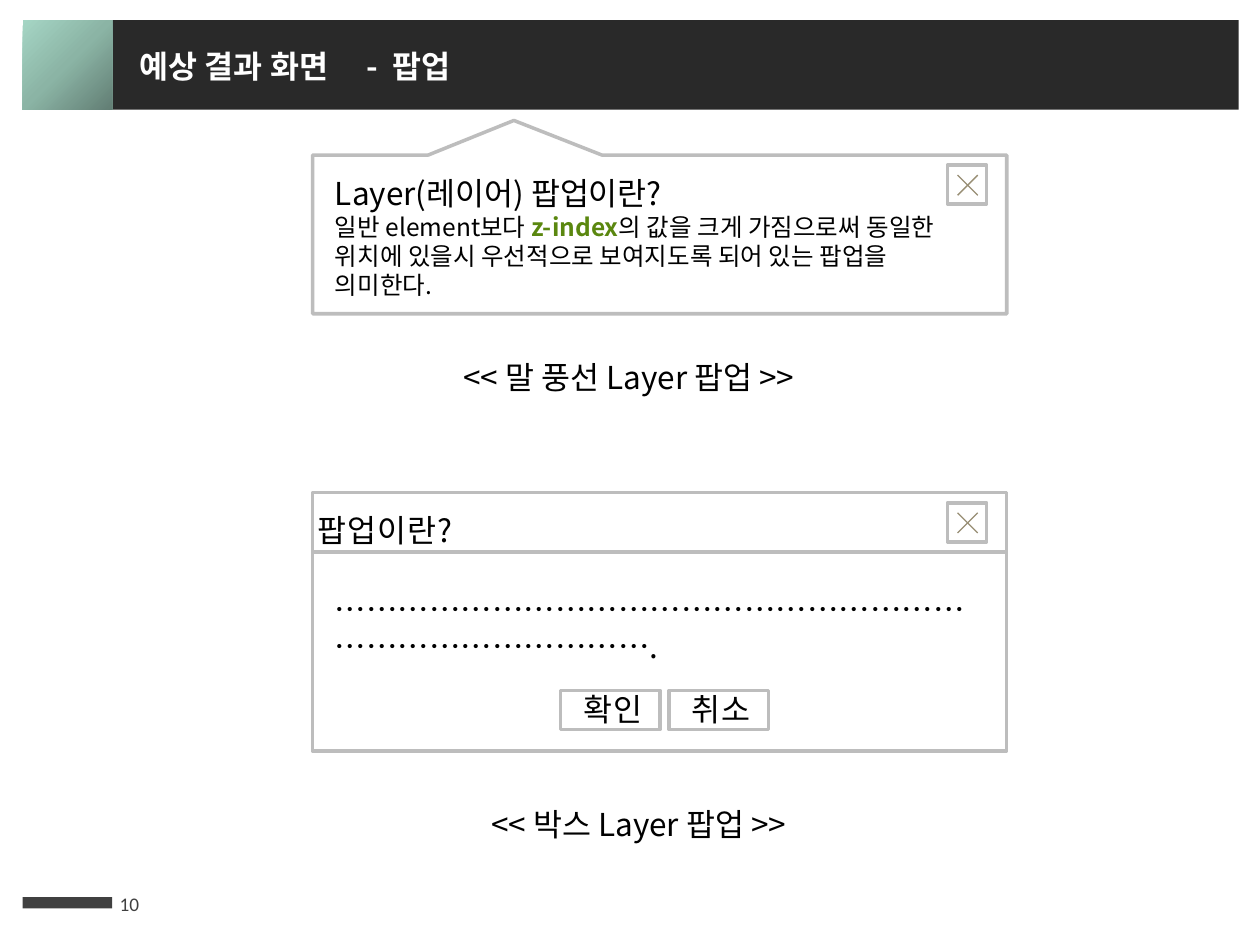
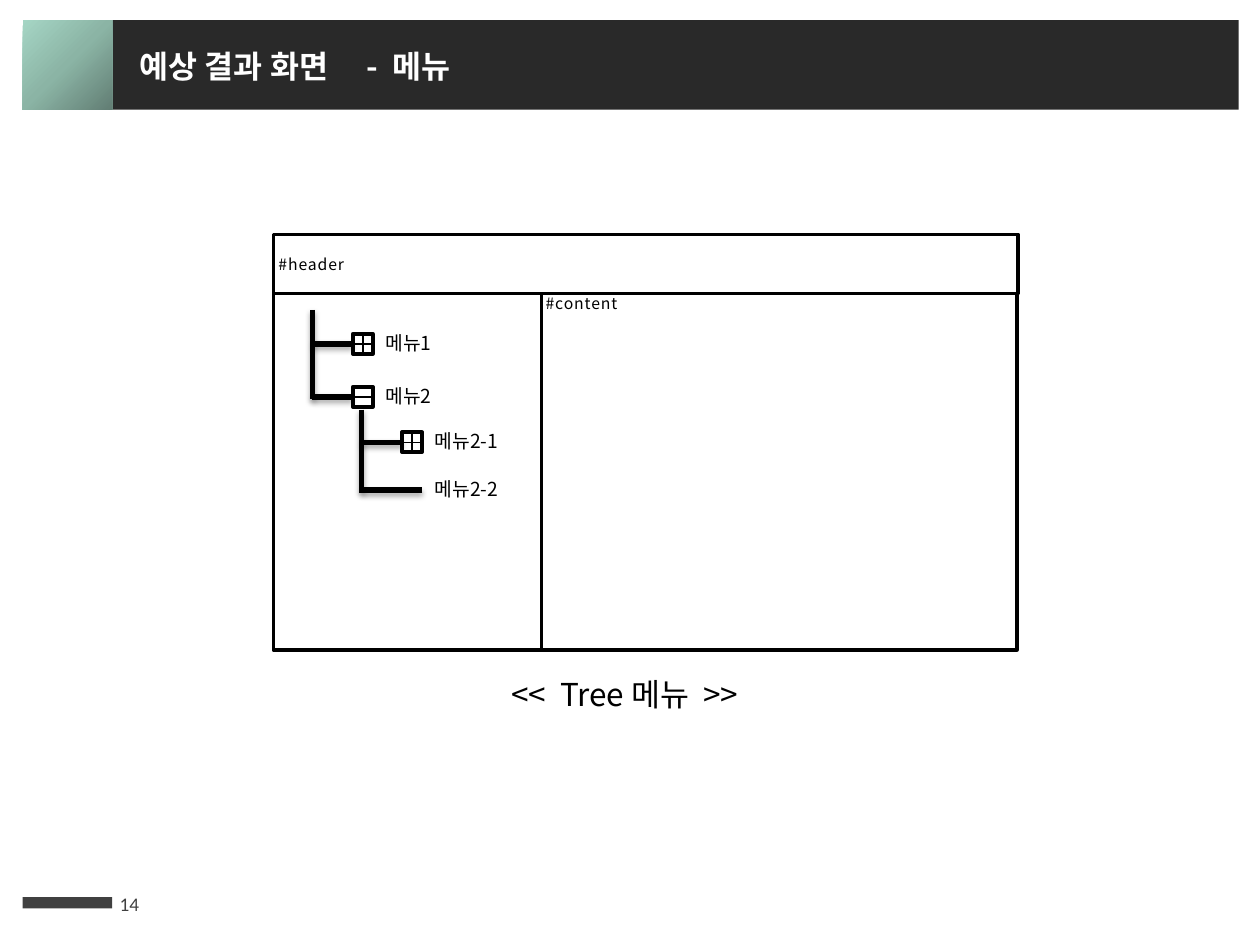
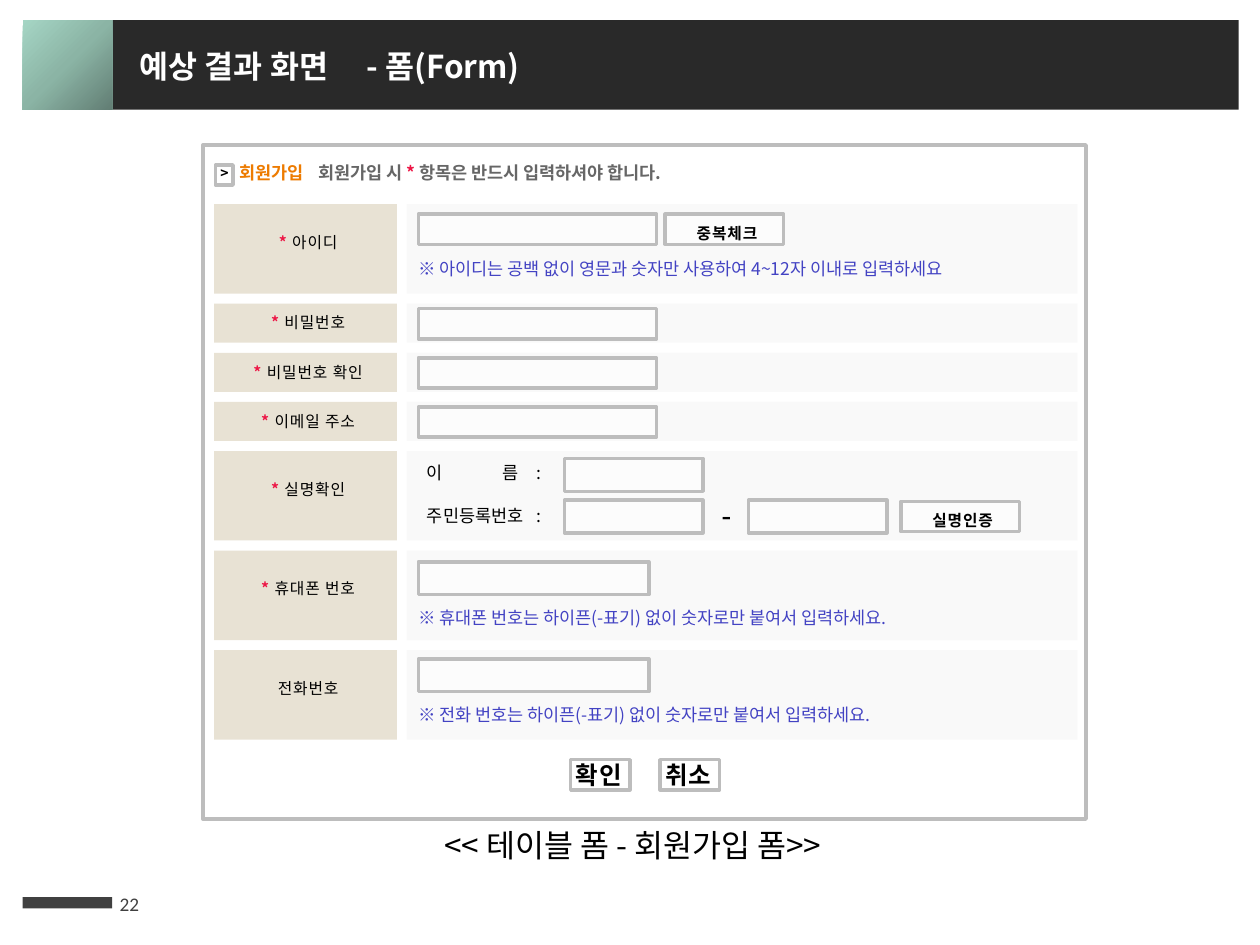
from dataclasses import dataclass

from pptx import Presentation
from pptx.dml.color import RGBColor
from pptx.enum.shapes import MSO_CONNECTOR, MSO_SHAPE
from pptx.enum.text import MSO_ANCHOR, MSO_AUTO_SIZE, PP_ALIGN
from pptx.oxml import parse_xml
from pptx.oxml.ns import nsdecls, qn
from pptx.util import Inches, Pt
from lxml import etree

RECT = MSO_SHAPE.RECTANGLE
CALLOUT = MSO_SHAPE.RECTANGULAR_CALLOUT
STRAIGHT = MSO_CONNECTOR.STRAIGHT
TOP, MIDDLE = MSO_ANCHOR.TOP, MSO_ANCHOR.MIDDLE
LEFT, CENTER = PP_ALIGN.LEFT, PP_ALIGN.CENTER
GROW = MSO_AUTO_SIZE.SHAPE_TO_FIT_TEXT
TITLE_ONLY = 5

KOREAN, LATIN = "Noto Sans CJK KR", "Calibri"
BLACK, WHITE = "000000", "FFFFFF"
BAND, BAR = "292929", "404040"
GRAY, CROSS = "BDBDBD", "988E74"
GREEN, ORANGE, RED = "5A870F", "ED7B00", "ED1746"
BLUE, DIM = "4343C3", "666666"
BEIGE, PALE = "E8E2D4", "F6F6F6"

SHADE = (f'<a:effectLst {nsdecls("a")}><a:outerShdw blurRad="40000" dist="23000" '
         'dir="5400000" rotWithShape="0"><a:srgbClr val="000000">'
         '<a:alpha val="35000"/></a:srgbClr></a:outerShdw></a:effectLst>')
PLAIN = f'<a:effectLst {nsdecls("a")}/>'
GLOW = (f'<a:gradFill {nsdecls("a")} rotWithShape="1"><a:gsLst>'
        '<a:gs pos="0"><a:srgbClr val="627E74"/></a:gs>'
        '<a:gs pos="50000"><a:srgbClr val="8BB4A5"/></a:gs>'
        '<a:gs pos="100000"><a:srgbClr val="A5D5C4"/></a:gs></a:gsLst>'
        '<a:path path="circle"><a:fillToRect l="100000" t="100000"/></a:path>'
        '</a:gradFill>')


@dataclass
class Run:
    """A piece of text; None takes the format of its paragraph."""
    text: str
    color: str | None = None
    bold: bool | None = None
    size: float | None = None


@dataclass
class Node:
    """A branch of the menu tree; sign is "+", "-" or empty."""
    left: float
    mid: float
    text: str
    sign: str


@dataclass
class Row:
    """A form row; field is drop, width and height, note is drop and text."""
    label: str
    tall: float
    field: tuple[float, float, float] | None = None
    note: tuple[float, str] | None = None
    need: bool = True


def rgb(code: str) -> RGBColor:
    return RGBColor.from_string(code)


def write(frame, text, *, size=18, color=BLACK, bold=False, font=KOREAN,
          align=LEFT, lead=None, track=0.0, tabs=()):
    """Fill a frame with a string, or with a list of paragraphs of runs."""
    paras = [[Run(text)]] if isinstance(text, str) else text
    for i, runs in enumerate(paras):
        para = frame.add_paragraph() if i else frame.paragraphs[0]
        para.alignment = align
        if lead:
            para.line_spacing = lead
        if tabs:
            stops = etree.SubElement(para._p.get_or_add_pPr(), qn("a:tabLst"))
            for stop in tabs:
                etree.SubElement(stops, qn("a:tab"), pos=str(Inches(stop)), algn="l")
        for item in runs:
            run = para.add_run()
            run.text = item.text
            run.font.size = Pt(item.size or size)
            run.font.bold = bold if item.bold is None else item.bold
            run.font.color.rgb = rgb(item.color or color)
            run.font.name = font
            props = run._r.get_or_add_rPr()
            etree.SubElement(props, qn("a:ea"), typeface=font)
            if track:
                props.set("spc", str(int(track * 100)))


def label(slide, left, top, width, height, text, *, anchor=TOP, **fmt):
    box = slide.shapes.add_textbox(*map(Inches, (left, top, width, height)))
    frame = box.text_frame
    frame.word_wrap = True
    frame.vertical_anchor = anchor
    write(frame, text, **fmt)
    frame.auto_size = GROW
    return box


def block(slide, left, top, width, height, text="", *, kind=RECT, fill=WHITE,
          line=None, clear=False, anchor=TOP, drop=0.0, **fmt):
    """Draw a shape; clear makes its fill 60 % opaque, drop lowers its text."""
    shape = slide.shapes.add_shape(kind, *map(Inches, (left, top, width, height)))
    shape.shadow.inherit = False
    shape.fill.solid()
    shape.fill.fore_color.rgb = rgb(fill)
    if clear:
        tint = shape._element.spPr.find(qn("a:solidFill"))[0]
        etree.SubElement(tint, qn("a:alpha"), val="60000")
    if line:
        shape.line.color.rgb = rgb(line)
        shape.line.width = Pt(2)
    else:
        shape.line.fill.background()
    if text:
        frame = shape.text_frame
        frame.word_wrap = True
        frame.vertical_anchor = anchor
        frame.margin_left, frame.margin_top = Inches(0.04), Inches(drop)
        frame.margin_right = frame.margin_bottom = 0
        write(frame, text, **fmt)
    return shape


def panel(slide, left, top, width, height, text="", **fmt):
    return block(slide, left, top, width, height, text,
                 **{"line": GRAY, "clear": True, "track": 0.5, **fmt})


def stroke(slide, start, end, *, color=BLACK, weight=0.75, shade=False,
           head=None, tail=None):
    """Draw a line; head and tail are (shape, side) to join at start and end."""
    line = slide.shapes.add_connector(STRAIGHT, *map(Inches, (*start, *end)))
    line.line.color.rgb = rgb(color)
    line.line.width = Pt(weight)
    line._element.spPr.append(parse_xml(SHADE if shade else PLAIN))
    if head:
        line.begin_connect(*head)
    if tail:
        line.end_connect(*tail)


def page(deck, topic: str, number: int):
    """Add a slide with its band, title, footer bar and number."""
    slide = deck.slides.add_slide(deck.slide_layouts[TITLE_ONLY])
    block(slide, 0.89, 0.16, 8.94, 0.71, fill=BAND)
    tile = block(slide, 0.18, 0.16, 0.71, 0.71)
    props = tile._element.spPr
    props.replace(props.find(qn("a:solidFill")), parse_xml(GLOW))
    block(slide, 0.18, 7.12, 0.71, 0.09, fill=BAR)
    label(slide, 0.85, 6.97, 0.59, 0.4, str(number), anchor=MIDDLE,
          size=11, color=BAR, font=LATIN)
    title = slide.shapes.title
    title.left, title.top, title.width, title.height = map(
        Inches, (1.01, 0.32, 6.99, 0.4))
    title.text_frame.vertical_anchor = TOP
    title.text_frame.word_wrap = True
    write(title.text_frame, f"예상 결과 화면\t- {topic}", color=WHITE, bold=True,
          tabs=(1.8,))
    title.text_frame.auto_size = GROW
    slide.shapes._spTree.append(title._element)
    return slide


def closer(slide, left: float, top: float):
    """Draw a close button with its cross."""
    panel(slide, left, top, 0.31, 0.31)
    near, far = left + 0.08, left + 0.24
    for start, end in ((far, near), (near, far)):
        stroke(slide, (start, top + 0.08), (end, top + 0.24), color=CROSS)


def popups(deck):
    slide = page(deck, " 팝업", 10)
    left, width = 2.48, 5.51
    bubble = block(slide, left, 1.23, width, 1.26, kind=CALLOUT, line=GRAY)
    bubble.rotation = 180
    bubble.adjustments[0], bubble.adjustments[1] = 0.21, 0.718
    label(slide, 2.56, 1.33, 5.28, 1.11, [
        [Run("Layer(레이어) 팝업이란?", size=18)],
        [Run("일반 element보다 "), Run("z-index", GREEN, True),
         Run("의 값을 크게 가짐으로써 동일한 위치에 있을시 우선적으로 "
             "보여지도록 되어 있는 팝업을 의미한다.")]], size=14)
    label(slide, 3.58, 2.79, 3.31, 0.4, "<< 말 풍선 Layer 팝업 >>")

    panel(slide, left, 3.91, width, 2.05)
    label(slide, 2.56, 4.63, 5.28, 0.71,
          "……………………………………………………………………………….")
    panel(slide, left, 3.91, width, 0.47, "팝업이란?", lead=1.5)
    for top in (1.31, 3.99):
        closer(slide, 7.52, top)
    for i, text in enumerate(("확인", "취소")):
        panel(slide, 4.45 + 0.86 * i, 5.48, 0.79, 0.31, text, align=CENTER)
    label(slide, 3.8, 6.34, 2.91, 0.4, "<< 박스 Layer 팝업 >>")


def branch(slide, node: Node):
    """Draw a node's twig, its sign box and its text."""
    size = 0.16
    right = node.left + size
    trunk = (node.left - 0.32, node.mid)
    if node.sign:
        box = block(slide, node.left, node.mid - size / 2, size, size, line=BLACK)
        start = (node.left, node.mid)
        stroke(slide, start, trunk, weight=3, shade=True, head=(box, 1))
        stroke(slide, start, (right, node.mid), head=(box, 1), tail=(box, 3))
        if node.sign == "+":
            mid = node.left + size / 2
            stroke(slide, (mid, node.mid - size / 2), (mid, node.mid + size / 2),
                   head=(box, 0), tail=(box, 2))
    else:
        stroke(slide, (right, node.mid), trunk, weight=3, shade=True)
    label(slide, right, node.mid - 0.15, 0.87, 0.29, node.text, size=11)


def menu(deck):
    slide = page(deck, " 메뉴", 14)
    small = {"line": BLACK, "size": 9, "track": 0.5}
    block(slide, 2.17, 1.86, 5.91, 0.47, "#header", anchor=MIDDLE, **small)
    block(slide, 4.29, 2.33, 3.78, 2.83, "#content", **small)
    block(slide, 2.17, 2.33, 2.13, 2.83, line=BLACK)
    for left, top, bottom in ((2.48, 2.46, 3.17), (2.87, 3.25, 3.91)):
        stroke(slide, (left, top), (left, bottom), weight=3, shade=True)
    for node in (Node(2.8, 2.73, "메뉴1", "+"), Node(2.8, 3.15, "메뉴2", "-"),
                 Node(3.19, 3.51, "메뉴2-1", "+"), Node(3.19, 3.89, "메뉴2-2", "")):
        branch(slide, node)
    label(slide, 3.96, 5.31, 2.46, 0.4, "<<  Tree 메뉴  >>")


TALL, LOW, GAP = 0.71, 0.31, 0.08
ROWS = (
    Row("아이디", TALL, (0.08, 1.89, 0.24),
        (0.38, "※ 아이디는 공백 없이 영문과 숫자만 사용하여 4~12자 이내로 입력하세요")),
    Row("비밀번호", LOW, (0.04, 1.89, 0.24)),
    Row("비밀번호 확인", LOW, (0.04, 1.89, 0.24)),
    Row("이메일 주소", LOW, (0.04, 1.89, 0.24)),
    Row("실명확인", TALL),
    Row("휴대폰 번호", TALL, (0.09, 1.83, 0.26),
        (0.4, "※ 휴대폰 번호는 하이픈(-표기) 없이 숫자로만 붙여서 입력하세요.")),
    Row("전화번호", TALL, (0.07, 1.83, 0.26),
        (0.38, "※ 전화 번호는 하이픈(-표기) 없이 숫자로만 붙여서 입력하세요."), False),
)


def entry(slide, row: Row, top: float):
    """Draw a form row's label, pane, field and note."""
    star = [Run("* ", RED, True)] if row.need else []
    block(slide, 1.7, top, 1.45, row.tall, [star + [Run(row.label)]], fill=BEIGE,
          drop=0.15 if row.tall == TALL else 0, size=9, align=CENTER, lead=1.5,
          track=0.5)
    block(slide, 3.23, top, 5.32, row.tall, fill=PALE, clear=True)
    if row.field:
        drop, width, height = row.field
        panel(slide, 3.32, top + drop, width, height)
    if row.note:
        drop, text = row.note
        label(slide, 3.22, top + drop, 5.04, 0.27, text, size=10, color=BLUE)


def form(deck):
    slide = page(deck, "폼(Form)", 22)
    panel(slide, 1.61, 1.15, 7.01, 5.35)
    top = 1.62
    for row in ROWS:
        entry(slide, row, top)
        top += row.tall + GAP

    for top, text in ((3.62, "이\t름\t:"), (3.96, "주민등록번호\t:")):
        label(slide, 3.29, top, 1.18, 0.27, text, size=10, tabs=(0.6, 0.87))
    for left, top in ((4.48, 3.64), (4.48, 3.97), (5.94, 3.97)):
        panel(slide, left, top, 1.1, 0.26)
    label(slide, 5.63, 3.89, 0.24, 0.4, "-", font=LATIN)
    for left, top, text in ((5.28, 1.7, "중복체크"), (7.15, 3.98, "실명인증")):
        panel(slide, left, top, 0.94, 0.24, text, size=9, bold=True, align=CENTER,
              lead=1.5)

    panel(slide, 1.71, 1.31, 0.14, 0.16, ">", size=8, bold=True)
    label(slide, 1.8, 1.24, 6.93, 0.27, [[
        Run("회원가입\t", ORANGE), Run("회원가입 시 "), Run("* ", RED),
        Run("항목은 반드시 입력하셔야 합니다.")]],
        size=10, color=DIM, bold=True, tabs=(0.63,))
    for i, text in enumerate(("확인", "취소")):
        panel(slide, 4.53 + 0.71 * i, 6.03, 0.47, 0.24, text, size=14, bold=True)
    label(slide, 3.43, 6.51, 5.04, 0.4, "<< 테이블 폼 - 회원가입 폼>>")


def main():
    deck = Presentation()
    deck.slide_width, deck.slide_height = Inches(10), Inches(7.5)
    popups(deck)
    menu(deck)
    form(deck)
    deck.save("out.pptx")


if __name__ == "__main__":
    main()
